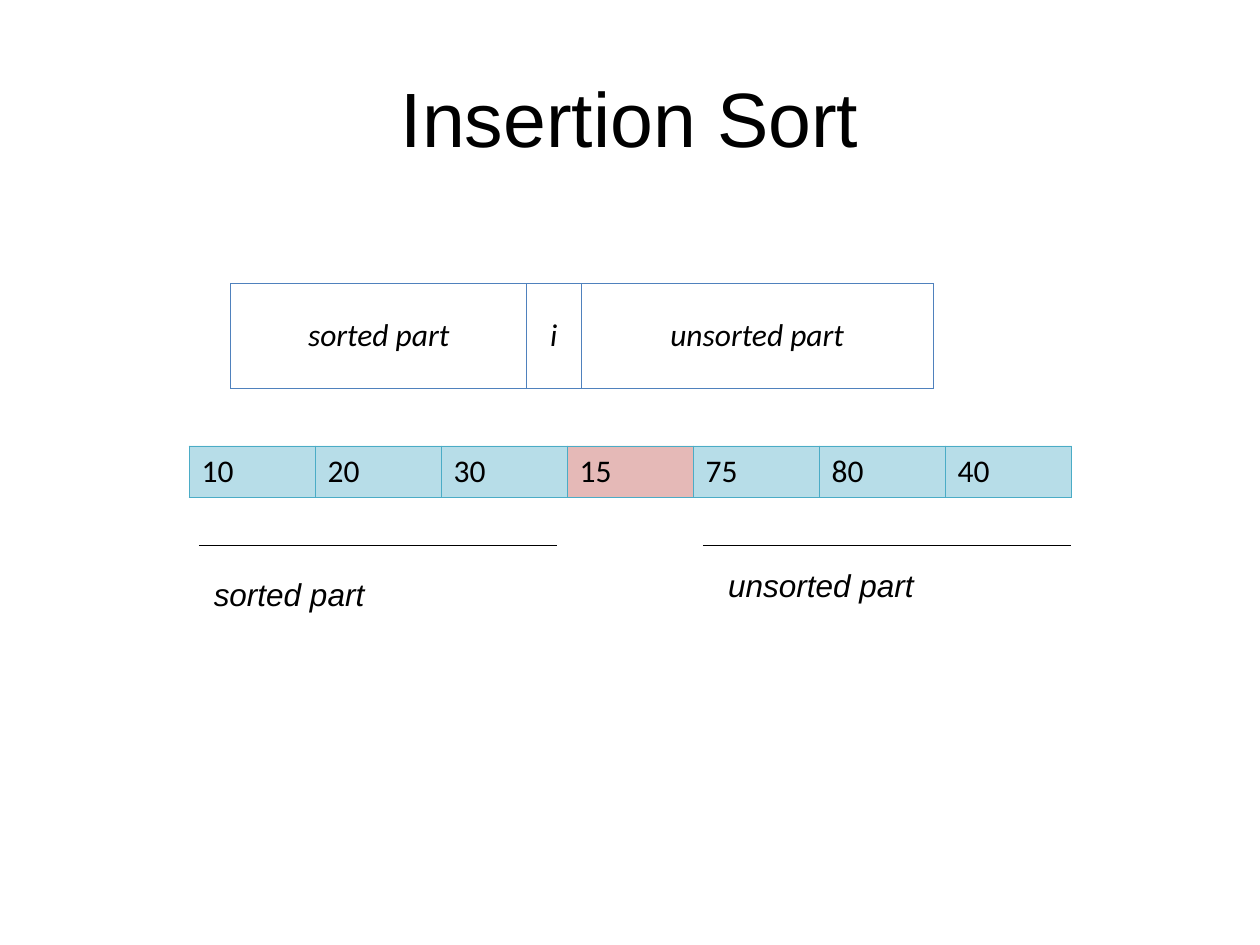
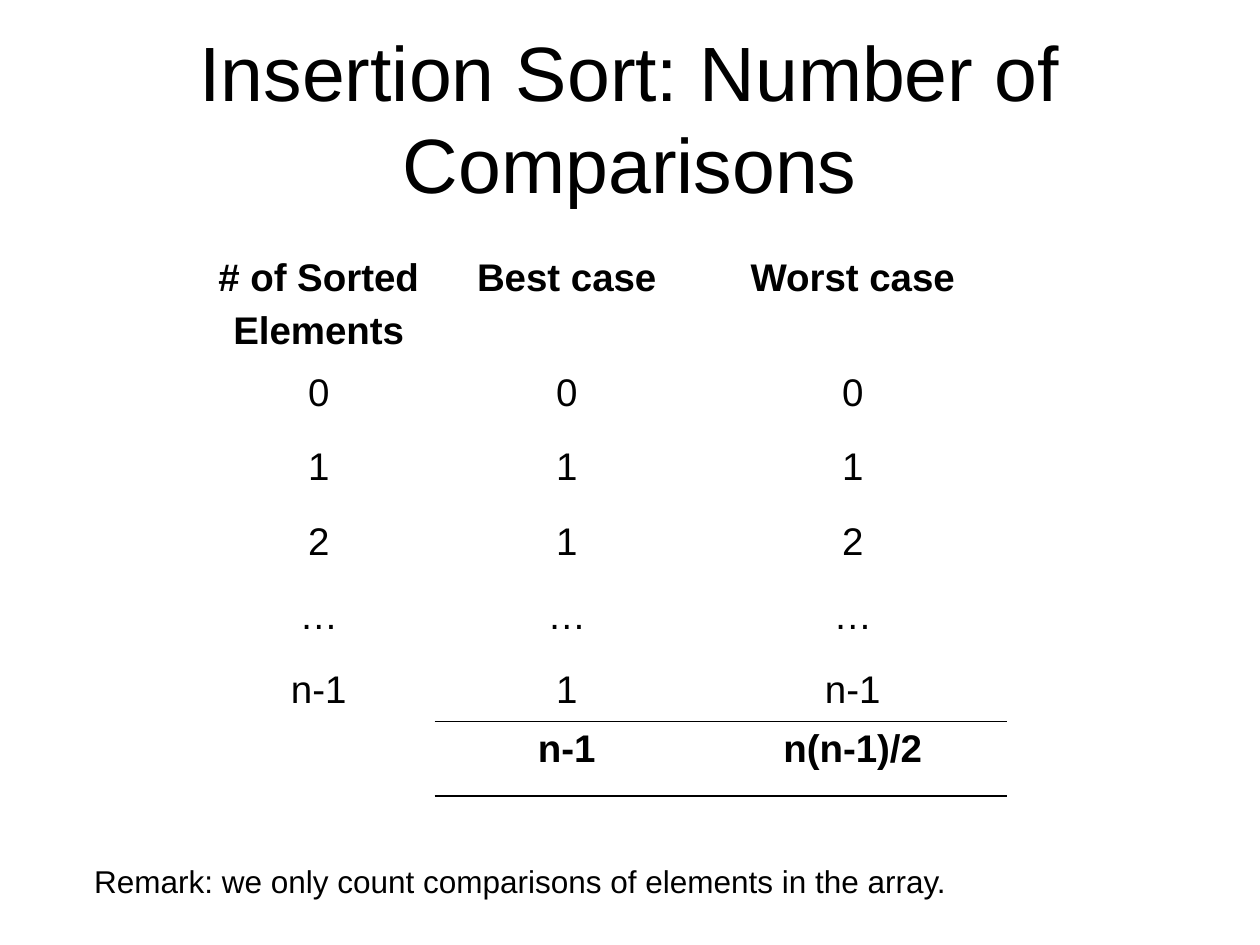
from lxml import etree
from pptx import Presentation
from pptx.dml.color import RGBColor
from pptx.enum.shapes import MSO_CONNECTOR
from pptx.enum.text import MSO_ANCHOR, MSO_AUTO_SIZE, PP_ALIGN
from pptx.oxml import parse_xml
from pptx.oxml.ns import nsdecls, qn
from pptx.util import Cm, Pt

LEFT, CENTER = PP_ALIGN.LEFT, PP_ALIGN.CENTER
TOP, MIDDLE = MSO_ANCHOR.TOP, MSO_ANCHOR.MIDDLE
STRAIGHT = MSO_CONNECTOR.STRAIGHT
NO_FIT = MSO_AUTO_SIZE.NONE

BLACK = RGBColor(0x00, 0x00, 0x00)
BLUE = RGBColor(0x4F, 0x81, 0xBD)
TEAL = RGBColor(0x4B, 0xAC, 0xC6)
RED = RGBColor(0xC0, 0x50, 0x4D)
SANS, HUMAN = "Arial", "Calibri"
PLAIN_STYLE = "{2D5ABB26-0587-4C30-8999-92F81FD0307C}"
SIDES = ("L", "R", "T", "B")
THIN, THICK = 0.45, 1.08

# Content, lengths in cm
PARTS = ["sorted part", "i", "unsorted part"]
PART_WIDTHS = [5.97, 1.09, 7.11]
VALUES = ["10", "20", "30", "15", "75", "80", "40"]
CURRENT = 3
RULES = [(4.01, 11.23), (14.17, 21.59)]
RULE_Y = 11
LABELS = [("sorted part", 4.06, 11.46), ("unsorted part", 14.43, 11.28)]

COUNTS = [
    ["# of Sorted\nElements", "Best case", "Worst case"],
    ["0", "0", "0"],
    ["1", "1", "1"],
    ["2", "1", "2"],
    ["…", "…", "…"],
    ["n-1", "1", "n-1"],
    ["", "n-1", "n(n-1)/2"],
]
COUNT_WIDTHS = [4.67, 5.33, 6.2]
COUNT_HEIGHTS = [2.31, 1.5, 1.5, 1.5, 1.5, 1.19, 1.5]
REMARK = "Remark: we only count comparisons of elements in the array."


def style(frame, size, font=SANS, align=LEFT, space=0, bold=False, italic=False):
    for para in frame.paragraphs:
        para.alignment = align
        para.space_before = Pt(space)
        for run in para.runs:
            face = run.font
            face.name, face.size = font, Pt(size)
            face.bold, face.italic = bold, italic
            face.color.rgb = BLACK


def add_slide(deck, title):
    slide = deck.slides.add_slide(deck.slide_layouts[5])
    head = slide.shapes.title
    head.left, head.top, head.width, head.height = Cm(1.27), Cm(0.76), Cm(22.86), Cm(3.18)
    frame = head.text_frame
    frame.text = title
    frame.auto_size = NO_FIT
    frame.vertical_anchor = MIDDLE
    style(frame, 44, align=CENTER)
    return slide


def add_label(slide, text, left, top, width, wrap=True, italic=False):
    frame = slide.shapes.add_textbox(Cm(left), Cm(top), Cm(width), Cm(1.02)).text_frame
    frame.text = text
    frame.word_wrap = wrap
    style(frame, 18, italic=italic)


def add_rule(slide, start, end, y):
    rule = slide.shapes.add_connector(STRAIGHT, Cm(start), Cm(y), Cm(end), Cm(y))
    rule.line.color.rgb = BLACK
    rule.line.width = Pt(0.75)
    etree.SubElement(rule.element.spPr, qn("a:effectLst"))


def add_grid(slide, rows, left, top, widths, heights, anchor, **look):
    frame = slide.shapes.add_table(len(rows), len(widths), Cm(left), Cm(top),
                                   Cm(sum(widths)), Cm(sum(heights)))
    grid = frame.table
    grid.first_row = grid.horz_banding = False
    next(frame.element.iter(qn("a:tableStyleId"))).text = PLAIN_STYLE
    for col, width in zip(grid.columns, widths):
        col.width = Cm(width)
    for row, height, texts in zip(grid.rows, heights, rows):
        row.height = Cm(height)
        for cell, text in zip(row.cells, texts):
            cell.text = text
            cell.vertical_anchor = anchor
            cell.fill.background()
            style(cell.text_frame, align=look.get("align", CENTER),
                  **{key: val for key, val in look.items() if key != "align"})
    return grid


def add_edges(cell, color, widths):
    """Draw cell borders; widths maps a side to points."""
    props = cell.fill and next(cell.text_frame._txBody.getparent().iter(qn("a:tcPr")))
    drawn = [side for side in SIDES if side in widths]
    for spot, side in enumerate(drawn):
        props.insert(spot, parse_xml(
            f'<a:ln{side} {nsdecls("a")} w="{Pt(widths[side])}">'
            f'<a:solidFill><a:srgbClr val="{color}"/></a:solidFill></a:ln{side}>'))


def tint(cell, color):
    cell.fill.solid()
    cell.fill.fore_color.rgb = color
    props = next(cell.text_frame._txBody.getparent().iter(qn("a:tcPr")))
    shade = props.find(qn("a:solidFill")).find(qn("a:srgbClr"))
    etree.SubElement(shade, qn("a:alpha")).set("val", "40000")


def build_array(deck):
    slide = add_slide(deck, "Insertion Sort")
    box = dict.fromkeys(SIDES, THIN)

    # Scheme of the array
    scheme = add_grid(slide, [PARTS], 4.65, 5.72, PART_WIDTHS, [2.11], MIDDLE,
                      size=18, font=HUMAN, space=4.5, italic=True)
    for cell in scheme.iter_cells():
        add_edges(cell, BLUE, box)

    # Sample array
    sample = add_grid(slide, [VALUES], 3.81, 8.99, [2.54] * len(VALUES), [1.04], MIDDLE,
                      size=18, font=HUMAN, space=4.5, align=LEFT)
    for spot, cell in enumerate(sample.iter_cells()):
        tint(cell, RED if spot == CURRENT else TEAL)
        add_edges(cell, TEAL, box)

    # Marked parts
    for start, end in RULES:
        add_rule(slide, start, end, RULE_Y)
    for text, left, top in LABELS:
        add_label(slide, text, left, top, 7.16, italic=True)


def build_counts(deck):
    slide = add_slide(deck, "Insertion Sort: Number of Comparisons")

    # Table of counts
    grid = add_grid(slide, COUNTS, 4.09, 5.05, COUNT_WIDTHS, COUNT_HEIGHTS, TOP,
                    size=22, space=5.5)
    last = len(COUNTS) - 1
    for col in range(len(COUNT_WIDTHS)):
        for row in (0, last):
            style(grid.cell(row, col).text_frame, 22, align=CENTER, space=5.5, bold=True)
        if col:
            add_edges(grid.cell(last - 1, col), BLACK, {"B": THIN})
            add_edges(grid.cell(last, col), BLACK, {"T": THIN, "B": THICK})

    # Remark
    add_label(slide, REMARK, 1.65, 17.25, 17.73, wrap=False)


def main():
    deck = Presentation()
    deck.slide_width, deck.slide_height = Cm(25.4), Cm(19.05)
    build_array(deck)
    build_counts(deck)
    deck.save("out.pptx")


if __name__ == "__main__":
    main()
